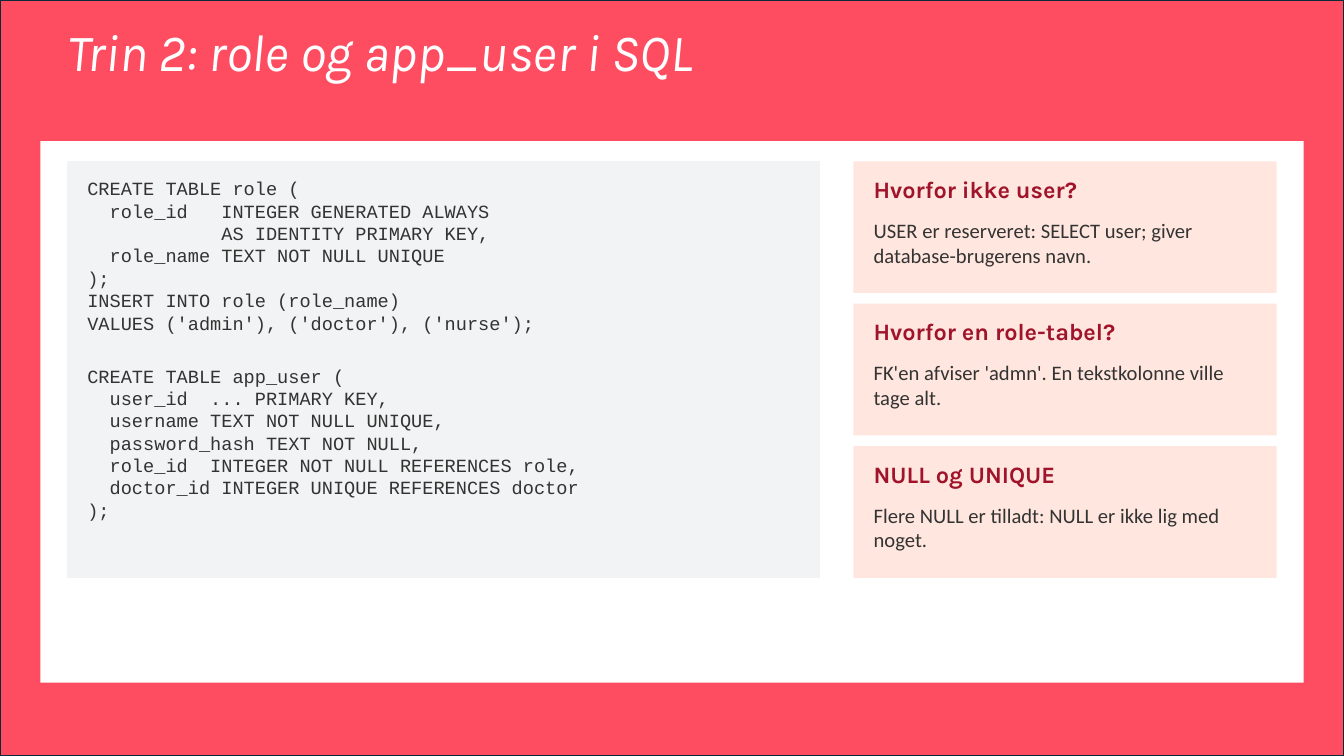
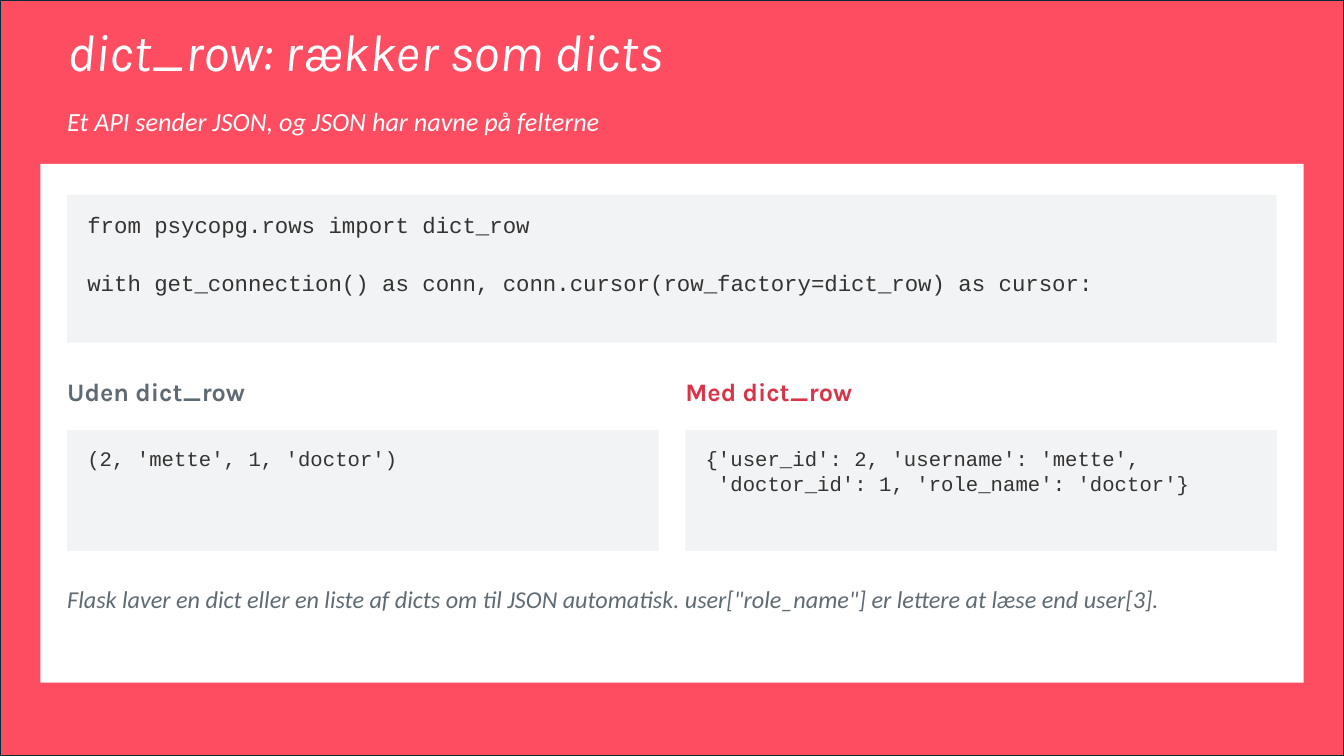
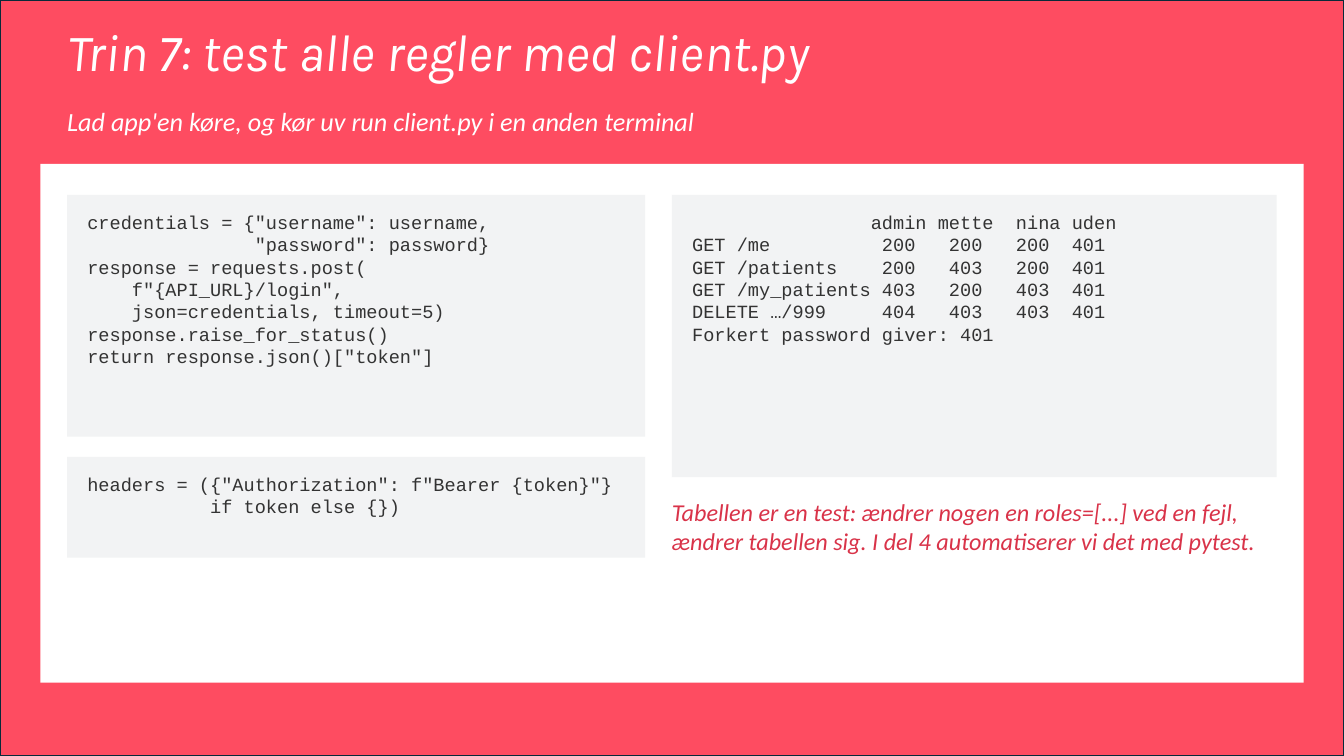
from pptx import Presentation
from pptx.dml.color import RGBColor
from pptx.enum.shapes import MSO_SHAPE
from pptx.enum.text import MSO_ANCHOR, PP_ALIGN
from pptx.util import Inches, Pt

RECTANGLE = MSO_SHAPE.RECTANGLE
TOP, LEFT = MSO_ANCHOR.TOP, PP_ALIGN.LEFT

COLORS = {
    "coral": "FE4C61", "navy": "092A39", "white": "FFFFFF", "code": "F2F3F4",
    "peach": "FFE6DE", "ink": "333333", "wine": "A0142B", "slate": "5F6B73",
    "red": "D93349",
}

prs = Presentation()
prs.slide_width, prs.slide_height = Inches(13.333), Inches(7.5)

# The grid has 200 columns across the slide; its rows are equally tall.
UNIT = prs.slide_width / 200
MARGIN, CONTENT = 10, 180
CONTENT_END = MARGIN + CONTENT
CARD_BOTTOM = 101.6


def write(slide, box, text="", *, size=18, font="Calibri", color="ink", bold=False,
          italic=False, fill=None, inset=(0, 0), line_spacing=None):
    """Put text in a box of grid units; a fill makes it a panel, a blank line a gap."""
    place = [round(value * UNIT) for value in box]
    if fill:
        shape = slide.shapes.add_shape(RECTANGLE, *place)
        shape.shadow.inherit = False
        shape.fill.solid()
        shape.fill.fore_color.rgb = RGBColor.from_string(COLORS[fill])
        shape.line.fill.background()
    else:
        shape = slide.shapes.add_textbox(*place)
    if not text:
        return shape
    frame = shape.text_frame
    frame.word_wrap = True
    frame.vertical_anchor = TOP
    frame.margin_left = frame.margin_right = round(inset[0] * UNIT)
    frame.margin_top = frame.margin_bottom = round(inset[1] * UNIT)
    blocks = text.split("\n\n")
    lines = [(line, block > 0 and row == 0) for block, part in enumerate(blocks)
             for row, line in enumerate(part.split("\n"))]
    for index, (line, after_gap) in enumerate(lines):
        paragraph = frame.add_paragraph() if index else frame.paragraphs[0]
        paragraph.alignment = LEFT
        if line_spacing:
            paragraph.line_spacing = line_spacing
        if after_gap:
            paragraph.space_before = Pt(22)
        run = paragraph.add_run()
        run.text = line
        run.font.size, run.font.name = Pt(size), font
        run.font.bold, run.font.italic = bold, italic
        run.font.color.rgb = RGBColor.from_string(COLORS[color])
    return shape


CODE = {"font": "Courier New", "fill": "code", "inset": (3, 2.4)}
HEADING = {"font": "Karla", "bold": True}
NOTE = {"size": 17.3, "italic": True}

headers = [
    ("Trin 2: role og app_user i SQL", ""),
    ("dict_row: rækker som dicts", "Et API sender JSON, og JSON har navne på felterne"),
    ("Trin 7: test alle regler med client.py",
     "Lad app'en køre, og kør uv run client.py i en anden terminal"),
]
slides = [prs.slides.add_slide(prs.slide_layouts[6]) for _ in headers]

# The coral backdrop belongs to the master, behind its placeholders.
backdrop = write(slides[0], (0, 0, 200, 112.5), fill="coral")
backdrop.line.color.rgb = RGBColor.from_string(COLORS["navy"])
backdrop.line.width = Pt(1.5)
backdrop.element.nvSpPr.cNvPr.set("id", "20")
prs.slide_master.shapes.element.insert(2, backdrop.element)

for slide, (title, subtitle) in zip(slides, headers):
    write(slide, (MARGIN, 4, CONTENT, 11), title, size=37.3, font="Karla",
          color="white", italic=True, line_spacing=0.9)
    card_top = 24.4 if subtitle else 21
    write(slide, (6, card_top, 188, CARD_BOTTOM - card_top), fill="white")
    if subtitle:
        write(slide, (MARGIN, 15.6, CONTENT, 7), subtitle, size=18.7,
              color="white", italic=True)

sql_slide, dict_slide, test_slide = slides

# Slide 1: SQL beside three questions
SQL_TOP, SQL_HEIGHT = 24, 62
write(sql_slide, (MARGIN, SQL_TOP, 112, SQL_HEIGHT), """\
CREATE TABLE role (
  role_id   INTEGER GENERATED ALWAYS
            AS IDENTITY PRIMARY KEY,
  role_name TEXT NOT NULL UNIQUE
);
INSERT INTO role (role_name)
VALUES ('admin'), ('doctor'), ('nurse');

CREATE TABLE app_user (
  user_id  ... PRIMARY KEY,
  username TEXT NOT NULL UNIQUE,
  password_hash TEXT NOT NULL,
  role_id  INTEGER NOT NULL REFERENCES role,
  doctor_id INTEGER UNIQUE REFERENCES doctor
);""", size=13.3, **CODE)

questions = [
    ("Hvorfor ikke user?",
     "USER er reserveret: SELECT user; giver database-brugerens navn."),
    ("Hvorfor en role-tabel?", "FK'en afviser 'admn'. En tekstkolonne ville tage alt."),
    ("NULL og UNIQUE", "Flere NULL er tilladt: NULL er ikke lig med noget."),
]
question_gap, question_width = 1.6, 63
question_left = CONTENT_END - question_width
question_height = (SQL_HEIGHT - 2 * question_gap) / 3
for row, (question, answer) in enumerate(questions):
    top = SQL_TOP + row * (question_height + question_gap)
    write(sql_slide, (question_left, top, question_width, question_height), question,
          size=16.8, color="wine", fill="peach", inset=(3, 2), **HEADING)
    write(sql_slide, (question_left + 3, top + 8.4, question_width - 6, 10), answer,
          size=14.7)

# Slide 2: rows without and with dict_row
BODY_TOP = 29
write(dict_slide, (MARGIN, BODY_TOP, CONTENT, 22), """\
from psycopg.rows import dict_row

with get_connection() as conn, conn.cursor(row_factory=dict_row) as cursor:""",
      size=16, **CODE)

results = [
    ("Uden dict_row", "slate", "(2, 'mette', 1, 'doctor')"),
    ("Med dict_row", "red",
     "{'user_id': 2, 'username': 'mette',\n 'doctor_id': 1, 'role_name': 'doctor'}"),
]
result_gap = 4
result_width = (CONTENT - result_gap) / 2
for column, (heading, color, output) in enumerate(results):
    left = MARGIN + column * (result_width + result_gap)
    write(dict_slide, (left, 56, result_width, 7), heading, size=18, color=color, **HEADING)
    write(dict_slide, (left, 64, result_width, 18), output, size=14.7, **CODE)
write(dict_slide, (MARGIN, 87, CONTENT, 12),
      "Flask laver en dict eller en liste af dicts om til JSON automatisk. "
      'user["role_name"] er lettere at læse end user[3].', color="slate", **NOTE)

# Slide 3: client code beside its output
client_width, output_width = 86, 90
output_left = CONTENT_END - output_width
write(test_slide, (MARGIN, BODY_TOP, client_width, 36), """\
credentials = {"username": username,
               "password": password}
response = requests.post(
    f"{API_URL}/login",
    json=credentials, timeout=5)
response.raise_for_status()
return response.json()["token"]""", size=13.3, **CODE)
write(test_slide, (MARGIN, 68, client_width, 15), """\
headers = ({"Authorization": f"Bearer {token}"}
           if token else {})""", size=13.3, **CODE)
write(test_slide, (output_left, BODY_TOP, output_width, 42), """\
                admin mette  nina uden
GET /me          200   200   200  401
GET /patients    200   403   200  401
GET /my_patients 403   200   403  401
DELETE …/999     404   403   403  401
Forkert password giver: 401""", size=13.3, **CODE)
write(test_slide, (output_left, 74, output_width, 24),
      "Tabellen er en test: ændrer nogen en roles=[...] ved en fejl, ændrer tabellen "
      "sig. I del 4 automatiserer vi det med pytest.", color="red", **NOTE)

prs.save("out.pptx")
